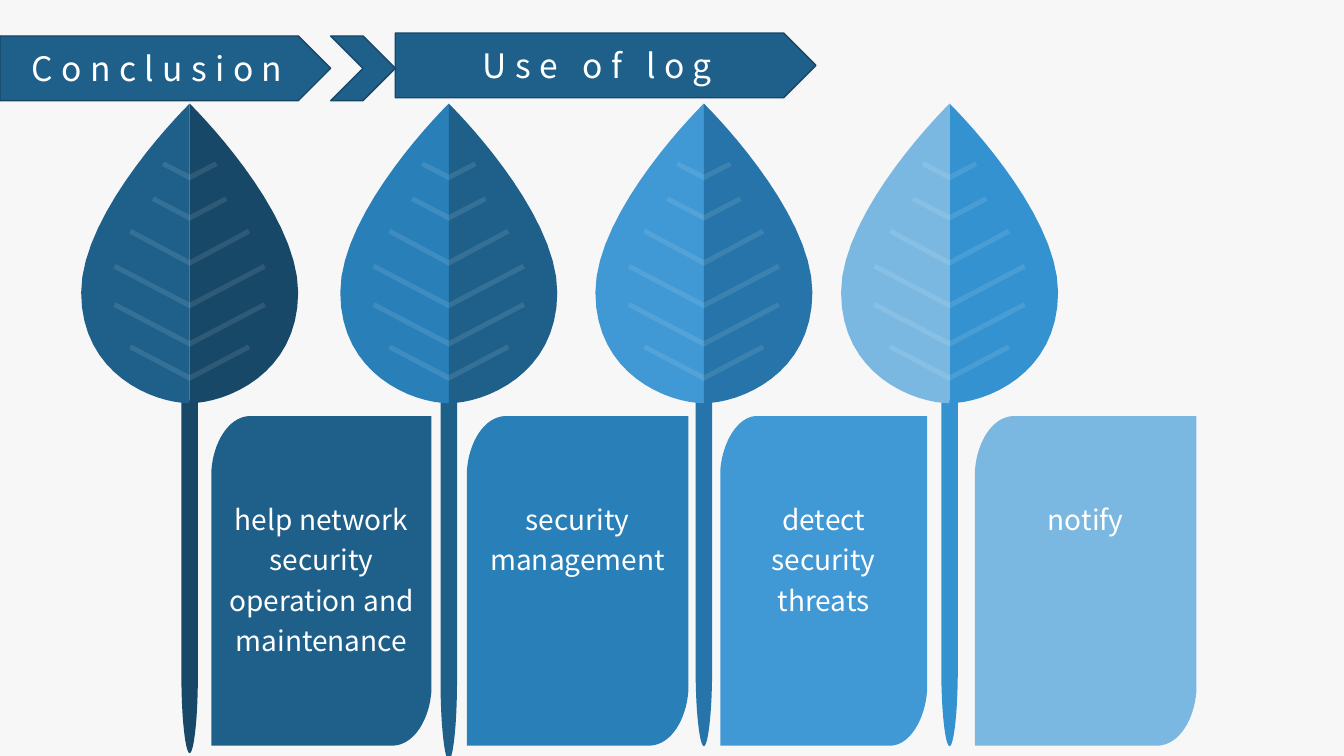
from lxml.etree import SubElement
from pptx import Presentation
from pptx.dml.color import RGBColor
from pptx.enum.shapes import MSO_SHAPE as Shape
from pptx.enum.text import MSO_ANCHOR as Anchor, MSO_AUTO_SIZE as AutoSize, PP_ALIGN as Align
from pptx.oxml.ns import qn
from pptx.util import Pt

FONT = "Noto Sans CJK SC"
COLORS = {
    "paper": "F7F7F7", "white": "FFFFFF", "outline": "174767",
    "navy": "174868", "deep": "1F608B", "mid": "2980B9", "steel": "2674A9",
    "sky": "4098D4", "bright": "3492D1", "pale": "7BB8E1",
}
SECTION = "Conclusion"
TITLE = "Use of log"
# text, light half, dark half, leaf centre, stem end, card left, card width, bottom inset
LEAVES = [
    ("help network security operation and maintenance",
     "deep", "navy", 135.5, 538, 151, 157.2, 22),
    ("security management", "mid", "deep", 320.6, 543, 333.5, 158.2, 2),
    ("detect security threats", "sky", "steel", 502.8, 533, 514.5, 147.7, 2),
    ("notify", "pale", "bright", 678.3, 533, 696.4, 158.2, 2),
]
# half width, top, height
VEINS = [(43.2, 246.2, 25.9), (54.4, 216, 31.7), (54.4, 188.6, 31.7),
         (43.2, 163.6, 26.3), (27, 140.4, 17.3), (19.8, 115.4, 13.4)]

LEAF_TOP, LEAF_WIDEST, LEAF_BOTTOM, LEAF_HALF = 74, 208.8, 288, 77.5
STEM_TOP, STEM_HALF = 286, 5.9
CARD_TOP, CARD_BOTTOM, CORNER_HEIGHT = 297.2, 532.6, 39
PLATE_HEIGHT, PLATE_TIP = 46.2, 23.1
CURVE_STEPS = 16


def rgb(name):
    return RGBColor.from_string(COLORS[name])


def bezier(start, c1, c2, end):
    """Points along a cubic curve, start and end included."""
    points = []
    for step in range(CURVE_STEPS + 1):
        t = step / CURVE_STEPS
        weights = ((1 - t) ** 3, 3 * t * (1 - t) ** 2, 3 * t * t * (1 - t), t ** 3)
        points.append(tuple(sum(w * p[axis] for w, p in zip(weights, (start, c1, c2, end)))
                            for axis in (0, 1)))
    return points


def add_outline(shapes, points, color, opacity=None):
    (x, y), *rest = [(Pt(px), Pt(py)) for px, py in points]
    builder = shapes.build_freeform(x, y)
    builder.add_line_segments(rest, close=True)
    outline = builder.convert_to_shape()
    outline.shadow.inherit = False
    outline.fill.solid()
    outline.fill.fore_color.rgb = rgb(color)
    outline.line.fill.background()
    if opacity:
        srgb = outline.fill._xPr.find(qn("a:solidFill")).find(qn("a:srgbClr"))
        SubElement(srgb, qn("a:alpha")).set("val", str(opacity * 1000))
    return outline


def write(frame, text, size, spacing=0):
    frame.word_wrap = True
    paragraph = frame.paragraphs[0]
    paragraph.alignment = Align.CENTER
    run = paragraph.add_run()
    run.text = text
    run.font.size = Pt(size)
    run.font.name = FONT
    run.font.color.rgb = rgb("white")
    if spacing:
        run.font._element.set("spc", str(spacing * 100))
    return paragraph


def add_plate(kind, left, top, width):
    plate = slide.shapes.add_shape(kind, Pt(left), Pt(top), Pt(width), Pt(PLATE_HEIGHT))
    plate.shadow.inherit = False
    plate.fill.solid()
    plate.fill.fore_color.rgb = rgb("deep")
    plate.line.color.rgb = rgb("outline")
    plate.line.width = Pt(1)
    return plate


def add_leaf(light, dark, center, stem_end):
    leaf = slide.shapes.add_group_shape().shapes
    taper = STEM_TOP + 0.78 * (stem_end - STEM_TOP)
    left, right = center - STEM_HALF, center + STEM_HALF
    control = taper + 0.55 * (stem_end - taper)
    tip = (center, stem_end)
    add_outline(leaf, [(left, STEM_TOP)]
                + bezier((left, taper), (left, control), (center - 3, stem_end), tip)
                + bezier(tip, (center + 3, stem_end), (right, control), (right, taper))
                + [(right, STEM_TOP)], dark)
    top, bottom = (center, LEAF_TOP), (center, LEAF_BOTTOM)
    for side, color in ((-1, light), (1, dark)):
        edge = center + side * LEAF_HALF
        widest = (edge, LEAF_WIDEST)
        add_outline(leaf, bezier(bottom, (center + side * 25.2, LEAF_BOTTOM), (edge, 267.8), widest)
                    + bezier(widest, (edge, 149.8), top, top), color)
    for half, vein_top, height in VEINS:
        inner, lip, low = half - 1.6, vein_top + 3.1, vein_top + height
        add_outline(leaf, [(center - inner, vein_top), (center, low - 4.1),
                           (center + inner, vein_top), (center + half, lip),
                           (center, low), (center - half, lip)], "white", opacity=10)


def add_card(text, color, left, width, bottom_inset):
    right, corner = left + width, 0.17 * width
    upper, lower = CARD_TOP + CORNER_HEIGHT, CARD_BOTTOM - CORNER_HEIGHT
    card = add_outline(
        slide.shapes,
        bezier((left, upper), (left + 1.4, CARD_TOP + 19), (left + 12, CARD_TOP + 1),
               (left + corner, CARD_TOP))
        + [(right, CARD_TOP)]
        + bezier((right, lower), (right - 1.4, CARD_BOTTOM - 19), (right - 12, CARD_BOTTOM - 1),
                 (right - corner, CARD_BOTTOM))
        + [(left, CARD_BOTTOM)], color)
    frame = card.text_frame
    frame.margin_left = frame.margin_right = Pt(5)
    frame.margin_top, frame.margin_bottom = Pt(57), Pt(bottom_inset)
    frame.vertical_anchor = Anchor.TOP
    write(frame, text, 20).line_spacing = 1.2


prs = Presentation()
prs.slide_width, prs.slide_height = Pt(960), Pt(540)
slide = prs.slides.add_slide(prs.slide_layouts[5])
slide.background.fill.solid()
slide.background.fill.fore_color.rgb = rgb("paper")

section = add_plate(Shape.PENTAGON, 0, 25.7, 236.2)
section.text_frame.vertical_anchor = Anchor.MIDDLE
write(section.text_frame, SECTION, 24, spacing=6)
add_plate(Shape.CHEVRON, 236.2, 25.7, 46.2)

for text, light, dark, center, stem_end, card_left, card_width, bottom_inset in LEAVES:
    add_leaf(light, dark, center, stem_end)
    add_card(text, light, card_left, card_width, bottom_inset)

title_left, title_top, title_width = 282.3, 23.6, 300.5
add_plate(Shape.PENTAGON, title_left, title_top, title_width)
title = slide.shapes.title
title.left, title.top = Pt(title_left), Pt(title_top)
title.width, title.height = Pt(title_width - PLATE_TIP / 2), Pt(PLATE_HEIGHT)
title.text_frame.auto_size = AutoSize.NONE
title.text_frame.vertical_anchor = Anchor.MIDDLE
write(title.text_frame, TITLE, 24, spacing=6)
# The title has to lie above its plate.
slide.shapes._spTree.append(title._element)

prs.save("out.pptx")
